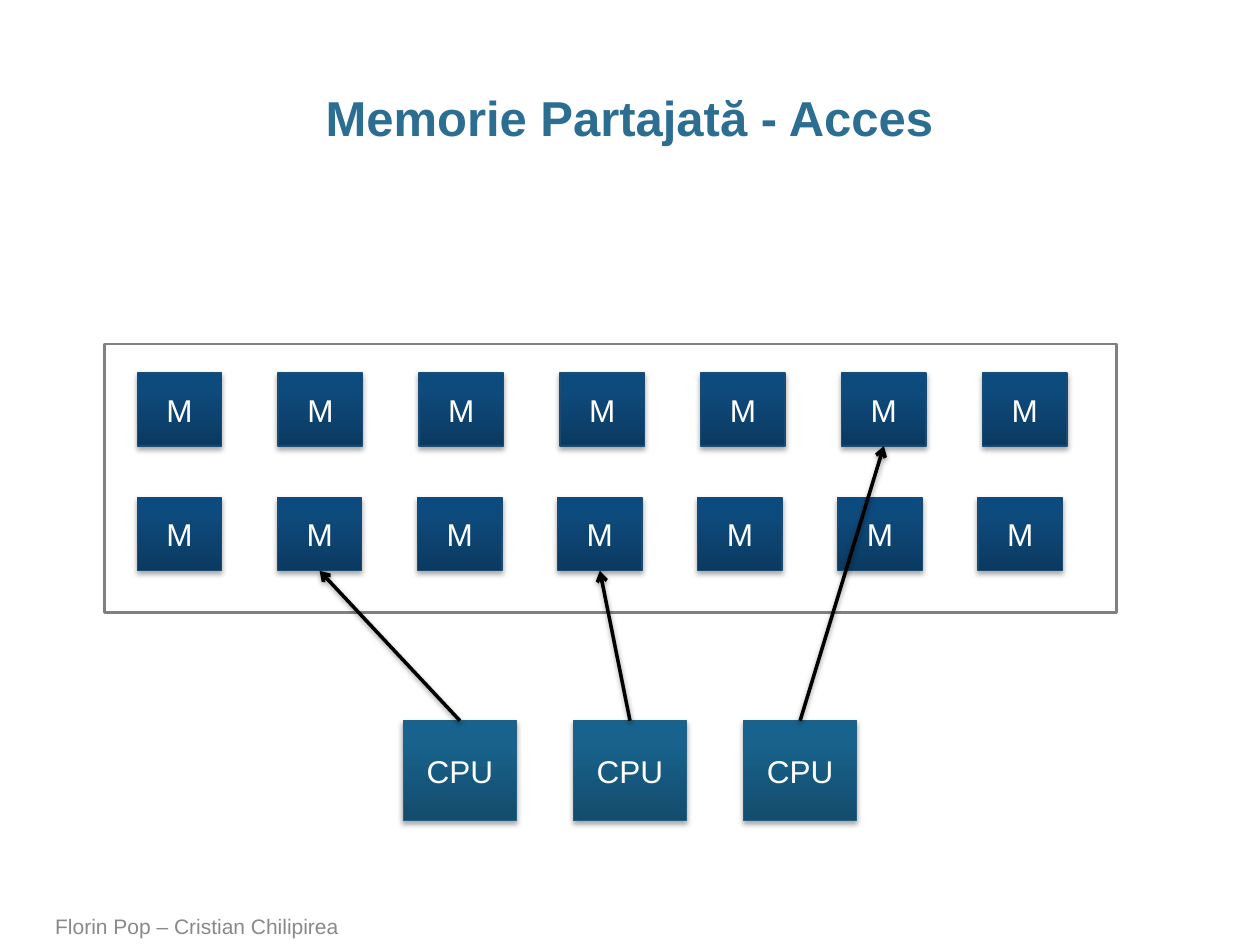
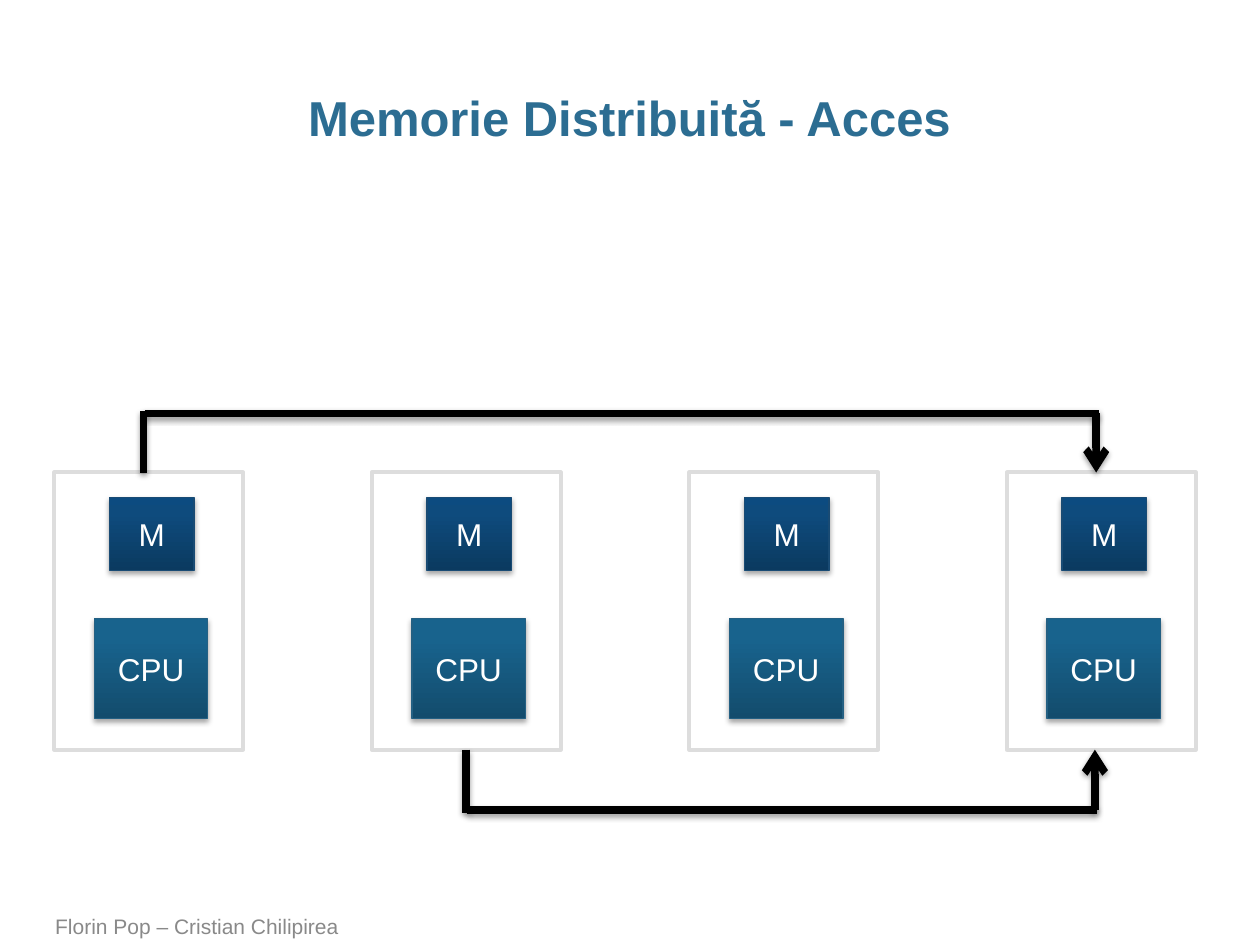
from math import copysign

from pptx import Presentation, util as u
from pptx.dml.color import RGBColor
from pptx.enum import shapes, text
from pptx.oxml import parse_xml
from pptx.oxml.ns import nsdecls, qn

COLS, ROWS = 100, 75
MEM = dict(label="M", size=(6.7, 5.8), edge="194B74",
           stops={0: "0B3A60", 80: "0E4B7D", 100: "0C4B80"})
CPU = dict(label="CPU", size=(9, 7.9), edge="246083",
           stops={0: "134C6D", 80: "18638D", 100: "166490"})
TITLE = dict(name="Arial", size=u.Pt(28), bold=True)
FOOT = dict(name="Arial", size=u.Pt(12))
LABEL = dict(name="Arial", size=u.Pt(18))


def tint(code):
    return RGBColor.from_string(code)


def put(item, **vals):
    for key, val in vals.items():
        setattr(item, key, val)


def shade(spot, alpha, dist):
    props = spot._element.spPr
    for old in props.findall(qn("a:effectLst")):
        props.remove(old)
    props.append(parse_xml(
        f'<a:effectLst {nsdecls("a")}><a:outerShdw blurRad="40000" dist="{dist}" '
        f'dir="5400000" rotWithShape="0"><a:srgbClr val="000000">'
        f'<a:alpha val="{alpha}000"/></a:srgbClr></a:outerShdw></a:effectLst>'))


class Deck:
    """Holds the style, the current slide and the grid it is drawn on."""

    def __init__(self):
        self.show = Presentation()
        put(self.show, slide_width=u.Inches(10), slide_height=u.Inches(7.5))
        self.wide = self.show.slide_width / COLS
        self.high = self.show.slide_height / ROWS

    def grid(self, col, row):
        return round(col * self.wide), round(row * self.high)

    def page(self, title):
        self.slide = self.show.slides.add_slide(self.show.slide_layouts[5])
        self.flat()
        head = self.host.title
        head.left, head.top = self.grid(3.4, 6.8)
        head.width, head.height = self.grid(93.1, 5)
        self.label(head, title, TITLE, "2C6D92", text.PP_ALIGN.CENTER,
                   text.MSO_ANCHOR.TOP)
        put(head.text_frame, margin_left=0, margin_right=0,
            margin_top=u.Inches(0.05), margin_bottom=u.Inches(0.05))
        head.text_frame.paragraphs[0].line_spacing = 0.95
        foot = self.host.add_textbox(*self.grid(3.4, 72.2), *self.grid(73.7, 2.8))
        self.label(foot, "Florin Pop – Cristian Chilipirea", FOOT, "898989",
                   text.PP_ALIGN.LEFT, text.MSO_ANCHOR.BOTTOM)

    def group(self):
        self.host = self.slide.shapes.add_group_shape().shapes

    def flat(self):
        self.host = self.slide.shapes

    def label(self, item, words, font, color, align, anchor, wrap=True):
        frame = item.text_frame
        put(frame, text=words, word_wrap=wrap, vertical_anchor=anchor,
            auto_size=text.MSO_AUTO_SIZE.NONE)
        para = frame.paragraphs[0]
        para.alignment = align
        put(para.runs[0].font, **font)
        para.runs[0].font.color.rgb = tint(color)

    def frame(self, col, row, cols, rows, color, width):
        box = self.host.add_shape(shapes.MSO_SHAPE.RECTANGLE,
                                  *self.grid(col, row), *self.grid(cols, rows))
        box.shadow.inherit = False
        box.fill.background()
        box.line.color.rgb = tint(color)
        box.line.width = u.Pt(width)
        return box

    def chip(self, kind, col, row):
        box = self.frame(col, row, *kind["size"], kind["edge"], 0.75)
        props = box._element.spPr
        stops = "".join(f'<a:gs pos="{pos}000"><a:srgbClr val="{code}"/></a:gs>'
                        for pos, code in kind["stops"].items())
        props.replace(props.find(qn("a:noFill")), parse_xml(
            f'<a:gradFill {nsdecls("a")} rotWithShape="1"><a:gsLst>{stops}</a:gsLst>'
            f'<a:lin ang="16200000" scaled="0"/></a:gradFill>'))
        shade(box, 35, 23000)
        self.label(box, kind["label"], LABEL, "FFFFFF", text.PP_ALIGN.CENTER,
                   text.MSO_ANCHOR.MIDDLE, False)
        return box

    def line(self, start, end, width, arrow=False):
        wire = self.host.add_connector(shapes.MSO_CONNECTOR.STRAIGHT,
                                       *self.grid(*start), *self.grid(*end))
        wire.line.color.rgb = tint("000000")
        wire.line.width = u.Pt(width)
        if arrow:
            wire._element.spPr.find(qn("a:ln")).append(
                parse_xml(f'<a:tailEnd {nsdecls("a")} type="arrow"/>'))
        shade(wire, 38, 20000)
        return wire

    def link(self, source, target):
        wire = self.line((0, 0), (1, 1), 2, True)
        wire.begin_connect(source, 0)
        wire.end_connect(target, 2)

    def route(self, start, end, edge, bend):
        lap = copysign(0.2, bend - edge)
        self.group()
        self.line((start + 0.1, bend), (end + 0.2, bend), 4.25)
        self.line((end, bend), (end, edge), 4.25, True)
        self.line((start, edge), (start, bend + lap), 4.25)
        self.flat()

    def node(self, col):
        self.group()
        self.chip(CPU, col + 3.2, 49.1)
        self.chip(MEM, col + 4.4, 39.5)
        self.frame(col, 37.5, 15, 22, "DDDDDD", 2.25)
        self.flat()


def shared(deck):
    deck.page("Memorie Partajată - Acces")
    upper, lower = ([deck.chip(MEM, 10.9 + i * step, row) for i in range(7)]
                    for row, step in ((29.6, 11.18), (39.5, 11.12)))
    deck.group()
    cores = [deck.chip(CPU, 32 + i * 13.5, 57.2) for i in range(3)]
    deck.flat()
    deck.frame(8.3, 27.3, 80.3, 21.3, "808080", 1.5)
    for core, cell in zip(cores, (lower[1], lower[3], upper[5])):
        deck.link(core, cell)


def spread(deck):
    deck.page("Memorie Distribuită - Acces")
    for i in range(4):
        deck.node(4.3 + i * 25.2)
    deck.route(11.4, 87, 37.5, 32.8)
    deck.route(37, 86.9, 59.5, 64.3)


def main():
    deck = Deck()
    shared(deck)
    spread(deck)
    deck.show.save("out.pptx")


if __name__ == "__main__":
    main()
